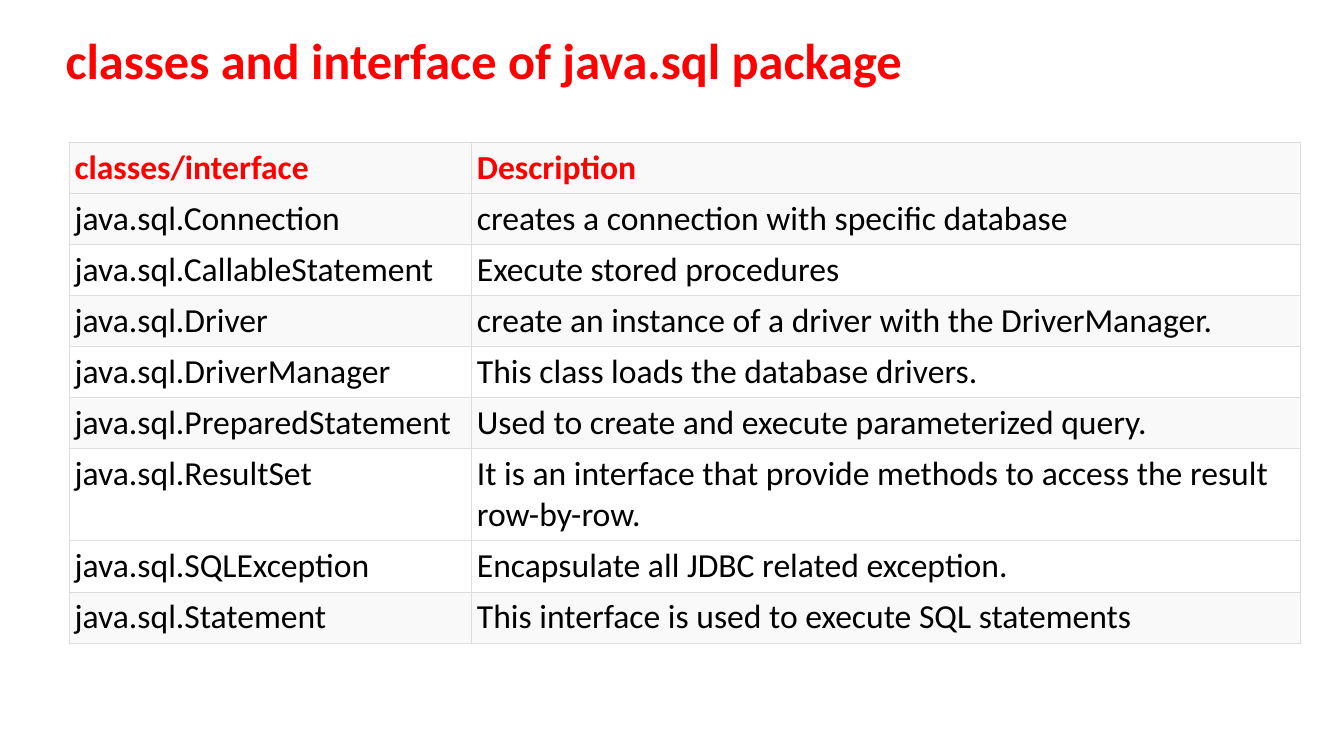
from lxml import etree
from pptx import Presentation
from pptx import util as u
from pptx.dml.color import RGBColor
from pptx.enum import text
from pptx.oxml.ns import qn

COLORS = {
    "accent": "FF0000",
    "body": "000000",
    "border": "DDDDDD",
    "shade": "F9F9F9",
    "plain": "FFFFFF",
}
FONT = "Calibri"
TITLE = "classes and interface of java.sql package"
ROWS = [
    ("classes/interface", "Description", "shade"),
    ("java.sql.Connection", "creates a connection with specific database", "shade"),
    ("java.sql.CallableStatement", "Execute stored procedures", "plain"),
    ("java.sql.Driver", "create an instance of a driver with the DriverManager.", "shade"),
    ("java.sql.DriverManager", "This class loads the database drivers.", "plain"),
    ("java.sql.PreparedStatement", "Used to create and execute parameterized query.", "shade"),
    ("java.sql.ResultSet",
     "It is an interface that provide methods to access the result row-by-row.", "plain"),
    ("java.sql.SQLException", "Encapsulate all JDBC related exception.", "plain"),
    ("java.sql.Statement", "This interface is used to execute SQL statements", "shade"),
]
COL_WIDTHS = (3.99, 8.22)
ROW_HEIGHT, TALL_HEIGHT = 0.5, 0.9
TALL_ROW = "java.sql.ResultSet"
PAD = u.Inches(0.05)


def set_font(p, size, color, bold):
    p.font.name = FONT
    p.font.size = u.Pt(size)
    p.font.bold = bold
    p.font.color.rgb = RGBColor.from_string(COLORS[color])


def add_borders(cell):
    tcPr = cell._tc.get_or_add_tcPr()
    for side in ("lnL", "lnR", "lnT", "lnB"):
        ln = etree.SubElement(tcPr, qn(f"a:{side}"), w=str(u.Pt(0.75)))
        fill = etree.SubElement(ln, qn("a:solidFill"))
        etree.SubElement(fill, qn("a:srgbClr"), val=COLORS["border"])


def fill_cell(cell, words, fill, header):
    cell.margin_left = cell.margin_right = cell.margin_top = cell.margin_bottom = PAD
    add_borders(cell)
    cell.fill.solid()
    cell.fill.fore_color.rgb = RGBColor.from_string(COLORS[fill])
    cell.text = words
    set_font(cell.text_frame.paragraphs[0], 24, "accent" if header else "body", header)


def main():
    prs = Presentation()
    prs.slide_width, prs.slide_height = u.Inches(13.33), u.Inches(7.5)
    s = prs.slides.add_slide(prs.slide_layouts[5])

    title = s.shapes.title
    title.left, title.top = u.Inches(0.55), u.Inches(0.24)
    title.width, title.height = u.Inches(12.78), u.Inches(0.71)
    tf = title.text_frame
    tf.text = TITLE
    tf.vertical_anchor = text.MSO_ANCHOR.TOP
    p = tf.paragraphs[0]
    p.alignment = text.PP_ALIGN.LEFT
    set_font(p, 36, "accent", True)

    heights = [TALL_HEIGHT if row[0] == TALL_ROW else ROW_HEIGHT for row in ROWS]
    table = s.shapes.add_table(
        len(ROWS), len(COL_WIDTHS), u.Inches(0.69), u.Inches(1.41),
        u.Inches(sum(COL_WIDTHS)), u.Inches(sum(heights))).table
    for col, width in zip(table.columns, COL_WIDTHS):
        col.width = u.Inches(width)
    for i, (*words, fill) in enumerate(ROWS):
        table.rows[i].height = u.Inches(heights[i])
        for j, entry in enumerate(words):
            fill_cell(table.cell(i, j), entry, fill, i == 0)

    prs.save("out.pptx")


if __name__ == "__main__":
    main()
